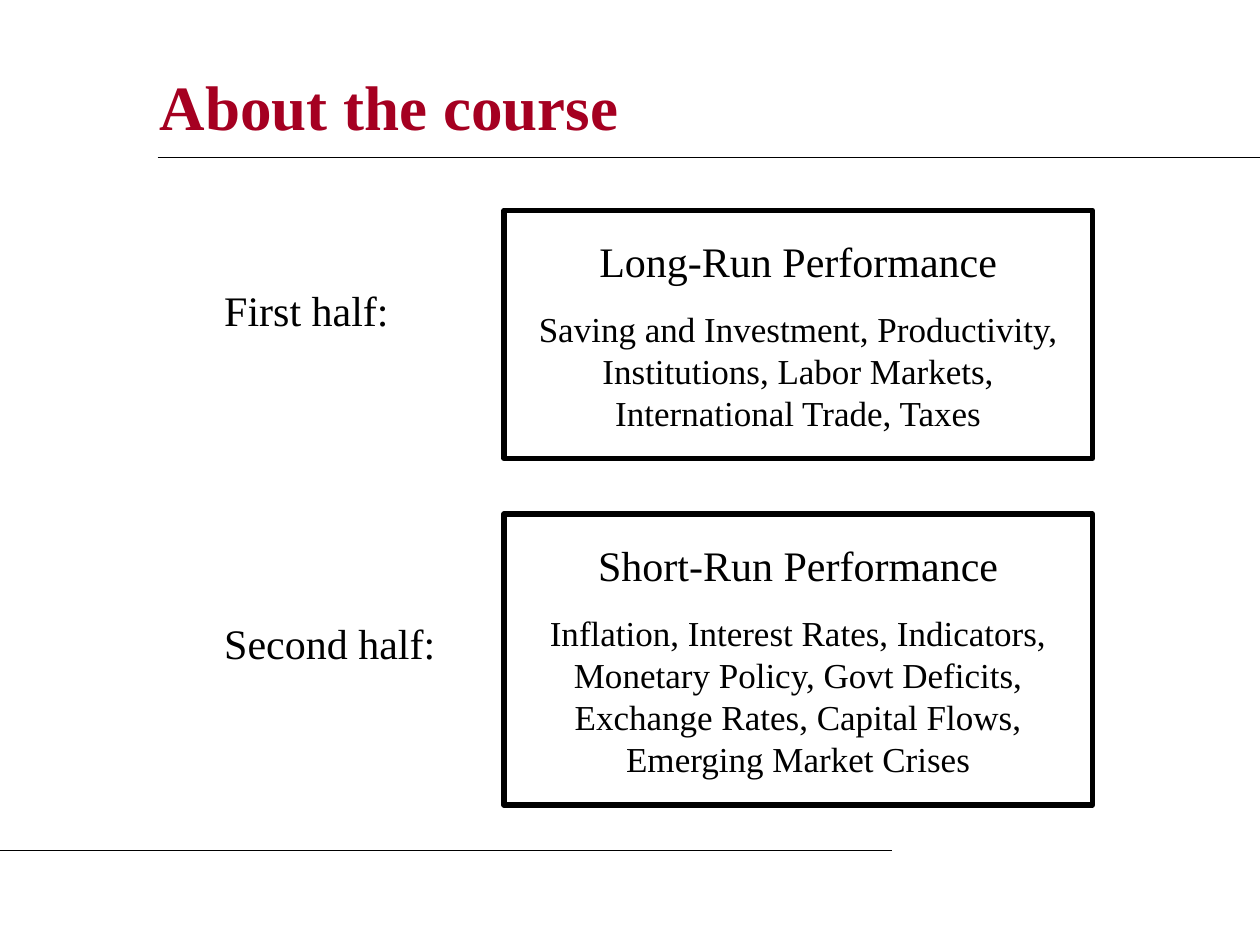
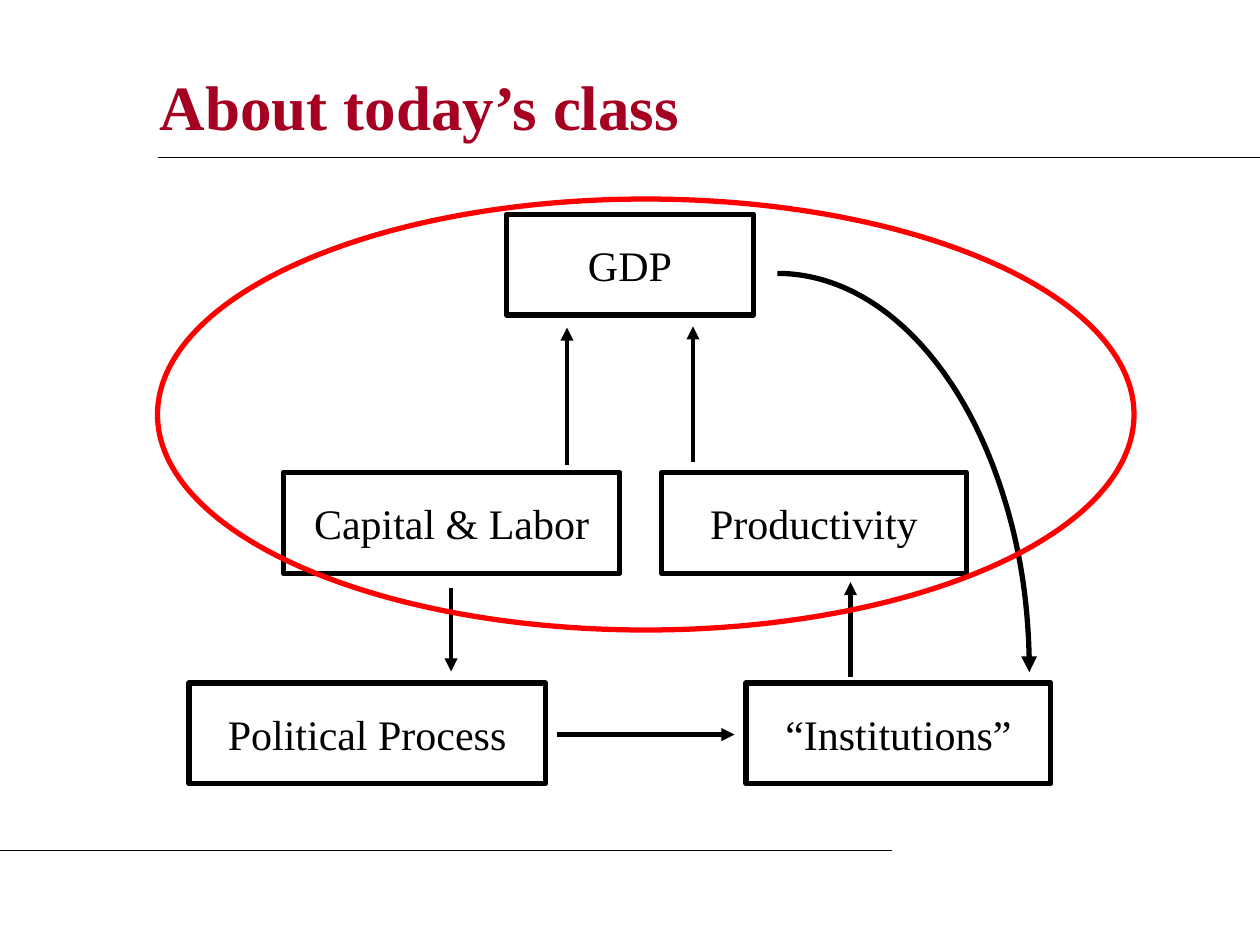
from dataclasses import dataclass

from lxml import etree
from pptx import Presentation
from pptx import util as u
from pptx.dml import color as c
from pptx.enum import shapes, text
from pptx.oxml import ns

COLORS = {"title": "A50021", "ink": "000000", "highlight": "FF0000"}
FONT = "Times New Roman"
HEADING_SIZE = 24
DETAIL_SIZE = 20
BOX_HEIGHT = 0.8


@dataclass(frozen=True)
class Box:
    left: float
    top: float
    width: float
    height: float
    heading: str
    details: str = ""


@dataclass(frozen=True)
class Label:
    top: float
    height: float
    wording: str
    line_spacing: float | None = None


@dataclass(frozen=True)
class Line:
    start: tuple[float, float]
    end: tuple[float, float]


RULES = [Line((1.25, 1.25), (10, 1.25)), Line((0, 6.75), (7.08, 6.75))]

COURSE_BOXES = [
    Box(4, 1.67, 4.67, 1.97, "Long-Run Performance",
        "Saving and Investment, Productivity, Institutions, Labor Markets, "
        "International Trade, Taxes"),
    Box(4, 4.08, 4.67, 2.31, "Short-Run Performance",
        "Inflation, Interest Rates, Indicators, Monetary Policy, Govt Deficits, "
        "Exchange Rates, Capital Flows, Emerging Market Crises"),
]
COURSE_LABELS = [
    Label(2.33, 0.6, "First half:", 0.5),
    Label(4.7, 0.8, "Second half:"),
]

CLASS_BOXES = [
    Box(4.02, 1.7, 1.96, BOX_HEIGHT, "GDP"),
    Box(2.25, 3.75, 2.67, BOX_HEIGHT, "Capital & Labor"),
    Box(5.25, 3.75, 2.42, BOX_HEIGHT, "Productivity"),
    Box(1.5, 5.42, 2.83, BOX_HEIGHT, "Political Process"),
    Box(5.92, 5.42, 2.42, BOX_HEIGHT, "“Institutions”"),
]
CLASS_ARROWS = [
    Line((4.5, 3.69), (4.5, 2.6)),
    Line((5.5, 3.67), (5.5, 2.59)),
    Line((6.75, 5.37), (6.75, 4.62)),
    Line((4.42, 5.83), (5.83, 5.83)),
    Line((3.58, 4.67), (3.58, 5.33)),
]


def set_outline(shape, width: float, color: str = "ink", arrow: bool = False) -> None:
    shape.line.color.rgb = c.RGBColor.from_string(COLORS[color])
    shape.line.width = u.Pt(width)
    if arrow:
        outline = shape.element.spPr.find(ns.qn("a:ln"))
        etree.SubElement(outline, ns.qn("a:tailEnd"), type="triangle")


def write_text(frame, wording: str, *, size: float = HEADING_SIZE, color: str = "ink",
               bold: bool = False, align=text.PP_ALIGN.LEFT, space_before: float = 0,
               line_spacing: float | None = None, new_paragraph: bool = False) -> None:
    paragraph = frame.add_paragraph() if new_paragraph else frame.paragraphs[0]
    paragraph.alignment = align
    paragraph.space_before = u.Pt(space_before)
    paragraph.line_spacing = line_spacing
    run = paragraph.add_run()
    run.text = wording
    run.font.name = FONT
    run.font.size = u.Pt(size)
    run.font.bold = bold
    run.font.color.rgb = c.RGBColor.from_string(COLORS[color])


def prepare_frame(shape):
    frame = shape.text_frame
    frame.word_wrap = True
    frame.auto_size = text.MSO_AUTO_SIZE.SHAPE_TO_FIT_TEXT
    frame.vertical_anchor = text.MSO_ANCHOR.TOP
    frame.margin_left = frame.margin_right = u.Inches(0.2)
    frame.margin_top = frame.margin_bottom = u.Inches(0.2)
    return frame


def add_outlined(slide, kind, left: float, top: float, width: float, height: float,
                 color: str = "ink", arrow: bool = False):
    shape = slide.shapes.add_shape(kind, u.Inches(left), u.Inches(top),
                                   u.Inches(width), u.Inches(height))
    shape.fill.background()
    shape.shadow.inherit = False
    set_outline(shape, 3, color, arrow)
    return shape


def add_box(slide, box: Box) -> None:
    shape = add_outlined(slide, shapes.MSO_SHAPE.RECTANGLE,
                         box.left, box.top, box.width, box.height)
    frame = prepare_frame(shape)
    write_text(frame, box.heading, align=text.PP_ALIGN.CENTER, space_before=15)
    if box.details:
        write_text(frame, box.details, size=DETAIL_SIZE, align=text.PP_ALIGN.CENTER,
                   space_before=12.5, new_paragraph=True)


def add_label(slide, label: Label) -> None:
    shape = slide.shapes.add_textbox(u.Inches(1.58), u.Inches(label.top),
                                     u.Inches(2.33), u.Inches(label.height))
    write_text(prepare_frame(shape), label.wording, space_before=15,
               line_spacing=label.line_spacing)


def add_line(slide, line: Line, width: float, arrow: bool = False) -> None:
    points = [u.Inches(value) for value in (*line.start, *line.end)]
    connector = slide.shapes.add_connector(shapes.MSO_CONNECTOR.STRAIGHT, *points)
    set_outline(connector, width, arrow=arrow)
    etree.SubElement(connector.element.spPr, ns.qn("a:effectLst"))


def add_slide(presentation, title: str):
    slide = presentation.slides.add_slide(presentation.slide_layouts[6])
    shape = slide.shapes.add_textbox(u.Inches(1.17), u.Inches(0.42),
                                     u.Inches(8.08), u.Inches(0.83))
    frame = shape.text_frame
    frame.word_wrap = True
    frame.vertical_anchor = text.MSO_ANCHOR.MIDDLE
    write_text(frame, title, size=36, color="title", bold=True)
    for rule in RULES:
        add_line(slide, rule, 0.75)
    return slide


def build_course_slide(presentation) -> None:
    slide = add_slide(presentation, "About the course")
    for box in COURSE_BOXES:
        add_box(slide, box)
    for label in COURSE_LABELS:
        add_label(slide, label)


def build_class_slide(presentation) -> None:
    slide = add_slide(presentation, "About today’s class")
    for box in CLASS_BOXES:
        add_box(slide, box)
    for arrow in CLASS_ARROWS:
        add_line(slide, arrow, 2.5, arrow=True)
    add_outlined(slide, shapes.MSO_SHAPE.ARC, 4.17, 2.17, 4, 6.33, arrow=True)
    add_outlined(slide, shapes.MSO_SHAPE.OVAL, 1.25, 1.58, 7.75, 3.42, color="highlight")


def main() -> None:
    presentation = Presentation()
    presentation.slide_width = u.Inches(10)
    presentation.slide_height = u.Inches(7.5)
    build_course_slide(presentation)
    build_class_slide(presentation)
    presentation.save("out.pptx")


if __name__ == "__main__":
    main()
